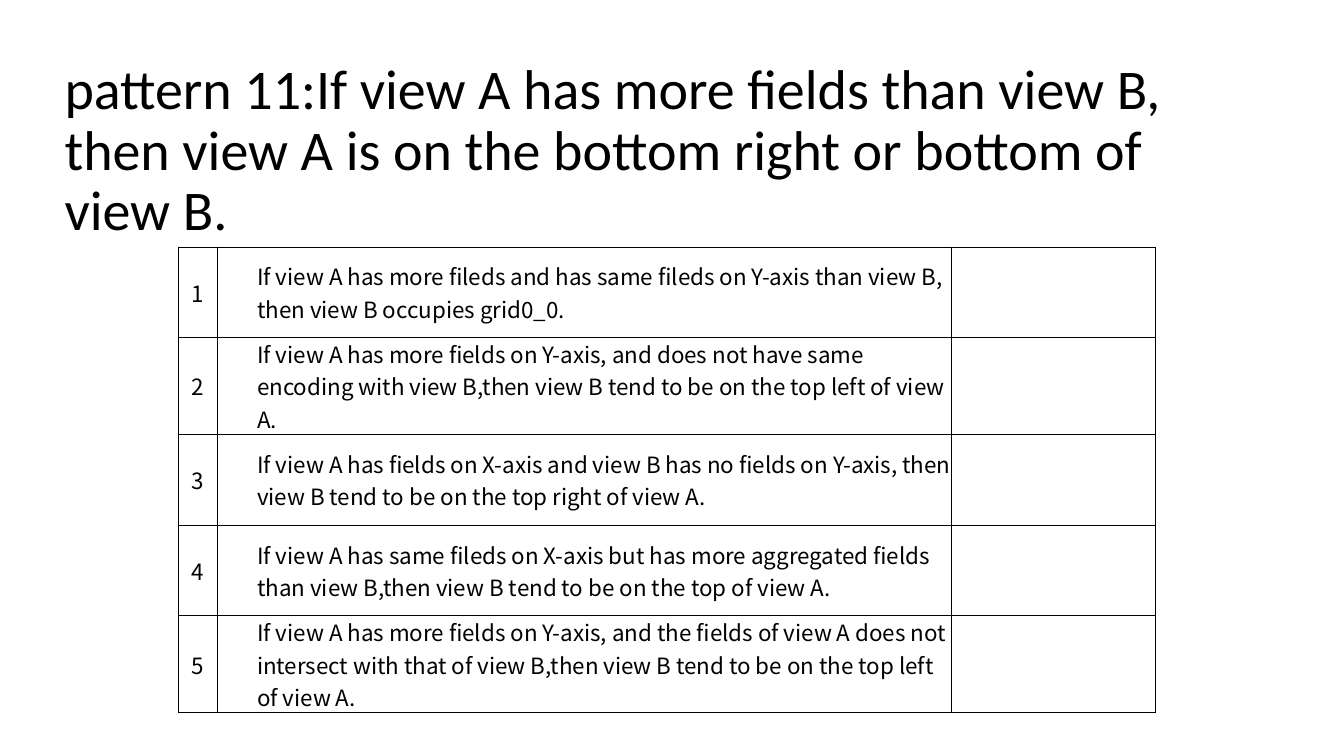
import pptx
import pptx.util
import pptx.oxml
import pptx.oxml.ns
import pptx.dml.color
import pptx.enum.text
from dataclasses import dataclass

TITLE = ("pattern 11:If view A has more fields than view B, then view A is on "
         "the bottom right or bottom of view B.")
RULES = [
    "If view A has more fileds and has same fileds on Y-axis than view B, then view B occupies grid0_0.",
    "If view A has more fields on Y-axis, and does not have same encoding with view B,then view B tend to be on the top left of view A.",
    "If view A has fields on X-axis and view B has no fields on Y-axis, then view B tend to be on the top right of view A.",
    "If view A has same fileds on X-axis but has more aggregated fields than view B,then view B tend to be on the top of view A.",
    "If view A has more fields on Y-axis, and the fields of view A does not intersect with that of view B,then view B tend to be on the top left of view A.",
]
WIDTHS = (0.39, 7.28, 2.02)
ROW = 0.9
INDENT = 0.39

Inches = pptx.util.Inches
Pt = pptx.util.Pt
ALIGN = pptx.enum.text.PP_ALIGN
ANCHOR = pptx.enum.text.MSO_ANCHOR


@dataclass
class Theme:
    ink: str = "000000"
    head: str = "Calibri"
    body: str = "Noto Sans CJK SC"
    big: int = 40
    small: int = 16
    line: float = 0.75


theme = Theme()


def style(para, name, size):
    for run in para.runs:
        run.font.name = name
        run.font.size = Pt(size)
        run.font.color.rgb = pptx.dml.color.RGBColor.from_string(theme.ink)


def border(cell):
    props = cell._tc.get_or_add_tcPr()
    for spot, side in enumerate("LRTB"):
        line = pptx.oxml.parse_xml(
            f'<a:ln{side} {pptx.oxml.ns.nsdecls("a")} w="{Pt(theme.line)}">'
            f'<a:solidFill><a:srgbClr val="{theme.ink}"/></a:solidFill>'
            f'</a:ln{side}>')
        props.insert(spot, line)


def write(cell, text, align, indent):
    cell.text_frame.text = text
    para = cell.text_frame.paragraphs[0]
    para.alignment = align
    if indent:
        props = para._p.get_or_add_pPr()
        props.set("marL", str(Inches(indent)))
        props.set("indent", "0")
    style(para, theme.body, theme.small)


def add_title(slide):
    title = slide.shapes.title
    title.left, title.top = Inches(0.54), Inches(0.85)
    title.width, title.height = Inches(12.03), Inches(1.61)
    frame = title.text_frame
    frame.text = TITLE
    frame.word_wrap = True
    frame.auto_size = pptx.enum.text.MSO_AUTO_SIZE.NONE
    frame.vertical_anchor = ANCHOR.BOTTOM
    para = frame.paragraphs[0]
    para.alignment = ALIGN.LEFT
    para.line_spacing = 0.9
    style(para, theme.head, theme.big)


def add_rules(slide):
    grid = slide.shapes.add_table(
        len(RULES), len(WIDTHS), Inches(1.77), Inches(2.45),
        Inches(sum(WIDTHS)), Inches(ROW * len(RULES))).table
    grid.first_row = grid.horz_banding = False
    for col, width in zip(grid.columns, WIDTHS):
        col.width = Inches(width)
    for row in grid.rows:
        row.height = Inches(ROW)
    for cell in grid.iter_cells():
        cell.margin_left = cell.margin_right = 0
        cell.margin_top = cell.margin_bottom = 0
        cell.vertical_anchor = ANCHOR.MIDDLE
        cell.fill.background()
        border(cell)
    for num, rule in enumerate(RULES):
        write(grid.cell(num, 0), str(num + 1), ALIGN.CENTER, 0)
        write(grid.cell(num, 1), rule, ALIGN.LEFT, INDENT)


def main():
    deck = pptx.Presentation()
    deck.slide_width, deck.slide_height = Inches(13.33), Inches(7.5)
    slide = deck.slides.add_slide(deck.slide_layouts[5])
    add_title(slide)
    add_rules(slide)
    deck.save("out.pptx")


if __name__ == "__main__":
    main()
